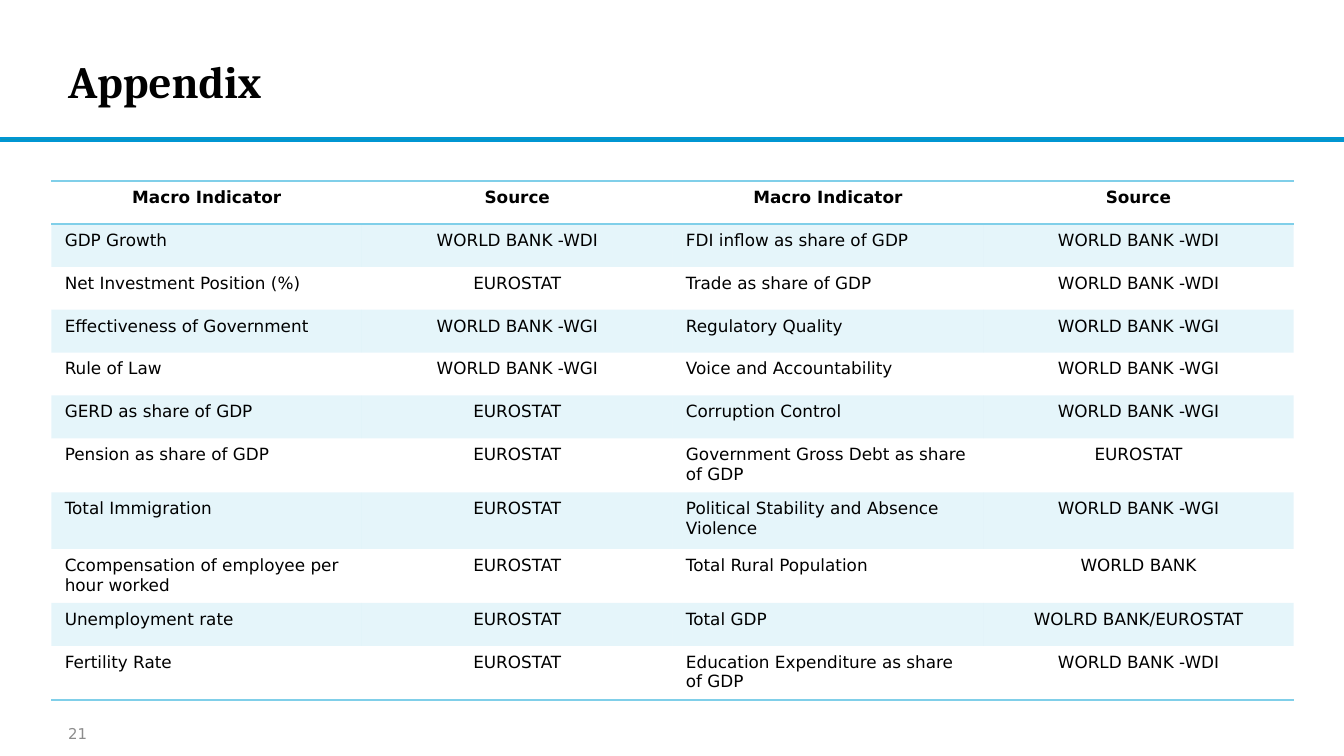
from lxml.etree import SubElement
from pptx import Presentation
from pptx.dml.color import RGBColor
from pptx.enum.shapes import MSO_SHAPE
from pptx.enum.text import MSO_ANCHOR, PP_ALIGN
from pptx.oxml import parse_xml
from pptx.oxml.ns import nsdecls, qn
from pptx.util import Cm, Pt

BLACK = RGBColor(0x00, 0x00, 0x00)
GREY = RGBColor(0x8C, 0x8C, 0x8C)
RULE_FILL = RGBColor(0x0C, 0x94, 0xB7)
RULE_LINE = RGBColor(0x00, 0x96, 0xD3)
TABLE_BLUE = RGBColor(0x80, 0xCF, 0xE9)
HEADING_FONT = "Cambria"
BODY_FONT = "DejaVu Sans"

ROW_HEIGHT = Cm(0.81)
TALL_ROW = 7
TALL_ROW_HEIGHT = Cm(1.07)
COLUMN_WIDTH = Cm(5.87)

INDICATORS = [
    ("Macro Indicator", "Source", "Macro Indicator", "Source"),
    ("GDP Growth", "WORLD BANK -WDI", "FDI inflow as share of GDP", "WORLD BANK -WDI"),
    ("Net Investment Position (%)", "EUROSTAT", "Trade as share of GDP", "WORLD BANK -WDI"),
    ("Effectiveness of Government", "WORLD BANK -WGI", "Regulatory Quality", "WORLD BANK -WGI"),
    ("Rule of Law", "WORLD BANK -WGI", "Voice and Accountability", "WORLD BANK -WGI"),
    ("GERD as share of GDP", "EUROSTAT", "Corruption Control", "WORLD BANK -WGI"),
    ("Pension as share of GDP", "EUROSTAT", "Government Gross Debt as share of GDP", "EUROSTAT"),
    ("Total Immigration", "EUROSTAT", "Political Stability and Absence Violence", "WORLD BANK -WGI"),
    ("Ccompensation of employee per hour worked", "EUROSTAT", "Total Rural Population", "WORLD BANK"),
    ("Unemployment rate", "EUROSTAT", "Total GDP", "WOLRD BANK/EUROSTAT"),
    ("Fertility Rate", "EUROSTAT", "Education Expenditure as share of GDP", "WORLD BANK -WDI"),
]


def set_font(paragraph, name, size, color, bold=False):
    font = paragraph.font
    font.name, font.size, font.bold = name, Pt(size), bold
    font.color.rgb = color


def add_label(slide, text, left, top, width, height, *font):
    frame = slide.shapes.add_textbox(left, top, width, height).text_frame
    frame.word_wrap = True
    frame.vertical_anchor = MSO_ANCHOR.MIDDLE
    frame.margin_left = frame.margin_right = 0
    frame.margin_top = frame.margin_bottom = 0
    frame.text = text
    set_font(frame.paragraphs[0], *font)


def add_rule(slide, top, width):
    rule = slide.shapes.add_shape(MSO_SHAPE.RECTANGLE, 0, top, width, Cm(0.06))
    rule.shadow.inherit = False
    rule.fill.solid()
    rule.fill.fore_color.rgb = RULE_FILL
    rule.line.color.rgb = RULE_LINE
    rule.line.width = Pt(1)


def fill_cell(cell, banded):
    if not banded:
        cell.fill.background()
        return
    cell.fill.solid()
    cell.fill.fore_color.rgb = TABLE_BLUE
    color = cell._tc.tcPr.find(qn("a:solidFill"))[0]
    SubElement(color, qn("a:alpha"), val="20000")


def set_borders(cell, top, bottom):
    sides = {"lnL": False, "lnR": False, "lnT": top, "lnB": bottom}
    for position, (side, visible) in enumerate(sides.items()):
        paint = (f'<a:solidFill><a:srgbClr val="{TABLE_BLUE}"/></a:solidFill>'
                 if visible else "<a:noFill/>")
        border = parse_xml(f'<a:{side} {nsdecls("a")} w="{Pt(1)}">{paint}</a:{side}>')
        cell._tc.get_or_add_tcPr().insert(position, border)


def add_indicator_table(slide, left, top):
    row_count, column_count = len(INDICATORS), len(INDICATORS[0])
    table = slide.shapes.add_table(
        row_count, column_count, left, top,
        COLUMN_WIDTH * column_count, ROW_HEIGHT * row_count).table
    table.horz_banding = False
    for column in table.columns:
        column.width = COLUMN_WIDTH

    for r, texts in enumerate(INDICATORS):
        table.rows[r].height = TALL_ROW_HEIGHT if r == TALL_ROW else ROW_HEIGHT
        header = r == 0
        for c, text in enumerate(texts):
            cell = table.cell(r, c)
            cell.text = text
            paragraph = cell.text_frame.paragraphs[0]
            set_font(paragraph, BODY_FONT, 9, BLACK, header)
            is_source = c % 2 == 1
            paragraph.alignment = PP_ALIGN.CENTER if header or is_source else PP_ALIGN.LEFT
            fill_cell(cell, banded=r % 2 == 1)
            # Lines run above and below the header and under the last row
            set_borders(cell, top=r in (0, 1), bottom=r in (0, row_count - 1))


def main():
    presentation = Presentation()
    presentation.slide_width, presentation.slide_height = Cm(25.4), Cm(14.28)
    slide = presentation.slides.add_slide(presentation.slide_layouts[6])

    # Heading and rule
    add_rule(slide, Cm(2.61), presentation.slide_width)
    add_label(slide, "Appendix", Cm(1.29), Cm(0.46), Cm(19), Cm(2.13),
              HEADING_FONT, 24, BLACK, True)

    # Indicators and their sources
    add_indicator_table(slide, Cm(0.97), Cm(3.42))

    # Page number
    add_label(slide, "21", Cm(1.29), Cm(13.54), Cm(2.5), Cm(0.63),
              BODY_FONT, 8, GREY)

    presentation.save("out.pptx")


if __name__ == "__main__":
    main()
